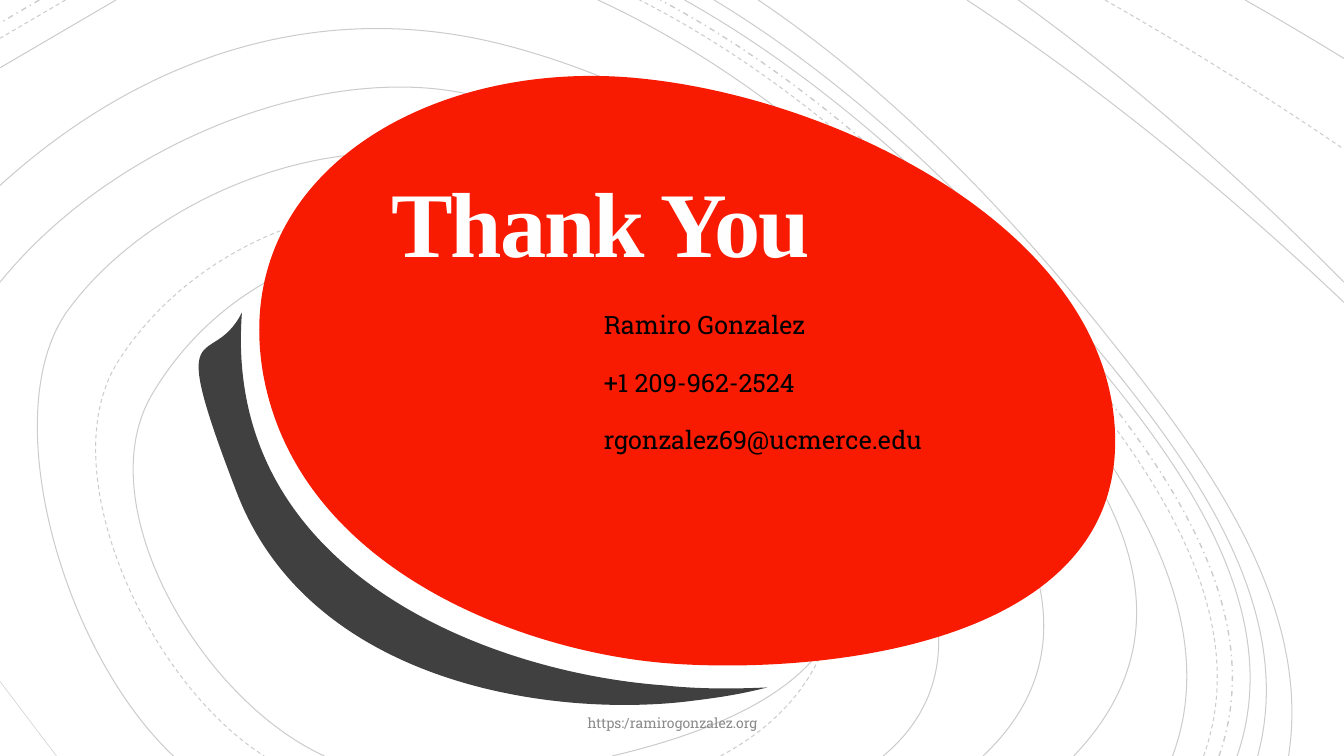
from lxml import etree
from pptx import Presentation
from pptx.dml.color import RGBColor
from pptx.enum.dml import MSO_LINE
from pptx.enum.text import MSO_ANCHOR, PP_ALIGN
from pptx.oxml.ns import qn
from pptx.util import Inches, Pt

SOLID, DASH, DASH_DOT = MSO_LINE.SOLID, MSO_LINE.DASH, MSO_LINE.DASH_DOT
TOP, MIDDLE, BOTTOM = MSO_ANCHOR.TOP, MSO_ANCHOR.MIDDLE, MSO_ANCHOR.BOTTOM
LEFT, CENTER = PP_ALIGN.LEFT, PP_ALIGN.CENTER

WIDTH, HEIGHT = 13.33, 7.5
COLORS = {
    "background": "FFFFFF",
    "contour": "000000",
    "crescent": "404040",
    "blob": "F81B02",
    "title": "FFFEFF",
    "contact": "000000",
    "footer": "8B8B8B",
}
CONTOUR_ALPHA = "20000"  # 20 % opaque
SERIF, SLAB = "Times New Roman", "Roboto Slab"

# An outline is a start point, then steps: 2 numbers a line, 6 a curve,
# 4 a curve whose first control mirrors the one before.
WIDE_RING = [(8.76, 7.5), (10.25, 6.25, 8.35, 4.09, 7.38, 3.15), (5.36, 1.64, 4.12, 1.53),
             (1.41, 2.08, 0.68, 3.07), (0.6, 6.44, 1.72, 7.5)]
INNER_RING = [(6.07, 7.5), (7.1, 7.26, 8.8, 6.67, 8.25, 5.29), (6.15, 2.78, 4.8, 2.48),
              (2.16, 2.81, 1.51, 3.91), (2, 6.95, 3.22, 7.5)]
OPEN_RINGS = [
    [(9.75, 7.5), (11.3, 6.04, 9.5, 4.13, 8.37, 3.06), (6.03, 1.2, 4.58, 0.92),
     (1.11, 1.43, 0, 2.8)],
    [(10.65, 7.5), (12.13, 5.95, 10.67, 4.22, 9.44, 3.07), (6.67, 0.87, 4.98, 0.44),
     (1.52, 0.46, 0, 1.84)],
]
# Arcs from the bottom edge to the top edge
FIRST_ARC = [(11.63, 7.5), (12.26, 5.81, 10.64, 4.01, 9.63, 2.87), (7.36, 0.66, 5.93, 0)]
MIDDLE_ARC = [(12.27, 7.5), (12.83, 5.88, 11.44, 4.25, 10.46, 3.12), (8.2, 0.79, 6.79, 0)]
LAST_ARC = [(12.78, 7.5), (13.03, 5.9, 11.82, 4.38, 10.89, 3.22), (8.81, 0.87, 7.52, 0)]
# Arc between two others: (from, to, share, width, dash)
ARCS = [
    (FIRST_ARC, MIDDLE_ARC, 0, 0.75, SOLID),
    (FIRST_ARC, MIDDLE_ARC, 0.48, 0.75, DASH),
    (FIRST_ARC, MIDDLE_ARC, 0.72, 1, DASH_DOT),
    (MIDDLE_ARC, LAST_ARC, 0, 0.75, SOLID),
    (MIDDLE_ARC, LAST_ARC, 0.4, 0.75, SOLID),
    (MIDDLE_ARC, LAST_ARC, 1, 0.75, SOLID),
]
# Top left corner: (x on the top edge, width, dash)
LEFT_CORNER = [(1.15, 0.75, SOLID), (0.65, 0.75, DASH), (0.39, 1, DASH_DOT)]
LEFT_SLOPE = 0.585
# Top right corner: (x on the top edge, y on the right edge, dash)
RIGHT_CORNER = [(9.59, 3, SOLID), (10.1, 2.8, SOLID), (10.96, 1.48, DASH), (12.35, 0.58, SOLID)]

CRESCENT = [(2.4, 3.1), (2.2, 5.7, 4.9, 6.68, 6.59, 6.8), (6.86, 6.83, 7.19, 6.84, 7.61, 6.82),
            (7.3, 6.9, 7.05, 6.93, 6.81, 6.96), (5.42, 7.12, 3.07, 6.76, 2.35, 4.89),
            (2.1, 3.7, 2.4, 3.1)]
BLOB = [(2.61, 3.71), (2.27, 1.75, 4.23, 0.6, 6.26, 0.77), (11.06, 2.31, 11.06, 4.38),
        (8.03, 6.69, 6.62, 6.58), (2.96, 5.66, 2.61, 3.71)]


def color(name):
    return RGBColor.from_string(COLORS[name])


def blend(first, last, share):
    """Return the outline that lies at a share of the way between two others."""
    return [tuple(a + (b - a) * share for a, b in zip(*steps)) for steps in zip(first, last)]


def corner_curve(x, y):
    """Return a slightly bowed curve from the top edge to the right edge."""
    run, bow = WIDTH - x, 0.02 * y * y
    return [(x, 0), (x + run / 3, y / 3 - bow, x + run * 2 / 3, y * 2 / 3 - bow, WIDTH, y)]


def full_steps(steps):
    """Write out the mirrored control of the four-number steps."""
    result = []
    for step in steps:
        if len(step) == 4:
            control_x, control_y, x, y = result[-1][-4:]
            step = (2 * x - control_x, 2 * y - control_y, *step)
        result.append(step)
    return result


def add_outline(slide, outline, close):
    """Draw a freeform through all points, then bend its six-number steps into curves."""
    start, steps = outline[0], full_steps(outline[1:])
    points = [(Inches(x), Inches(y))
              for step in steps for x, y in zip(step[::2], step[1::2])]
    builder = slide.shapes.build_freeform(Inches(start[0]), Inches(start[1]))
    builder.add_line_segments(points, close=close)
    shape = builder.convert_to_shape()
    shape.shadow.inherit = False

    segments = iter(list(shape._element.iter(qn("a:lnTo"))))
    for step in steps:
        segment = next(segments)
        if len(step) == 6:
            segment.tag = qn("a:cubicBezTo")
            for _ in range(2):
                extra = next(segments)
                segment.append(extra[0])
                extra.getparent().remove(extra)
    return shape


def add_contour(slide, outline, width=0.75, dash=SOLID):
    shape = add_outline(slide, outline, close=False)
    shape.fill.background()
    shape.line.width = Pt(width)
    shape.line.color.rgb = color("contour")
    shape.line.dash_style = dash
    line_color = shape._element.spPr.find(qn("a:ln")).find(".//" + qn("a:srgbClr"))
    etree.SubElement(line_color, qn("a:alpha"), val=CONTOUR_ALPHA)


def add_filled_outline(slide, outline, fill):
    shape = add_outline(slide, outline, close=True)
    shape.fill.solid()
    shape.fill.fore_color.rgb = color(fill)
    shape.line.fill.background()


def add_text(slide, box, lines, size, font, fill, align=LEFT, anchor=TOP,
             insets=(0.1, 0.05, 0.1, 0.05), gap=0):
    frame = slide.shapes.add_textbox(*map(Inches, box)).text_frame
    frame.word_wrap = True
    frame.vertical_anchor = anchor
    (frame.margin_left, frame.margin_top,
     frame.margin_right, frame.margin_bottom) = map(Inches, insets)
    for index, line in enumerate(lines):
        paragraph = frame.add_paragraph() if index else frame.paragraphs[0]
        paragraph.text = line
        paragraph.alignment = align
        if index:
            paragraph.space_before = Pt(gap)
        paragraph.font.size = Pt(size)
        paragraph.font.name = font
        paragraph.font.color.rgb = color(fill)
    return frame.paragraphs[0]


def add_contours(slide):
    for ring in (WIDE_RING, INNER_RING, *OPEN_RINGS):
        add_contour(slide, ring)
    add_contour(slide, blend(WIDE_RING, INNER_RING, 0.6), dash=DASH)
    for first, last, share, width, dash in ARCS:
        add_contour(slide, blend(first, last, share), width, dash)
    for x, width, dash in LEFT_CORNER:
        add_contour(slide, [(x, 0), (0, x * LEFT_SLOPE)], width, dash)
    for x, y, dash in RIGHT_CORNER:
        add_contour(slide, corner_curve(x, y), dash=dash)
    add_contour(slide, [(0, 6.76), (0.56, HEIGHT)], width=0.37)


def main():
    presentation = Presentation()
    presentation.slide_width, presentation.slide_height = Inches(WIDTH), Inches(HEIGHT)
    slide = presentation.slides.add_slide(presentation.slide_layouts[6])
    slide.background.fill.solid()
    slide.background.fill.fore_color.rgb = color("background")

    # Contours, then the red blob with its dark crescent
    add_contours(slide)
    add_filled_outline(slide, CRESCENT, "crescent")
    add_filled_outline(slide, BLOB, "blob")

    # Title
    title = add_text(slide, (2.26, 0.91, 7.61, 1.82), ["Thank You "], 66, SERIF, "title",
                     CENTER, BOTTOM, insets=(0.25, 0.25, 0.25, 0))
    title.line_spacing = 0.8
    title.font.bold = True
    title.runs[0].font._element.set("spc", "-150")

    # Footer and contact details
    add_text(slide, (0.88, 7, 11.58, 0.35), ["https:/ramirogonzalez.org"], 10, SLAB,
             "footer", CENTER, MIDDLE)
    add_text(slide, (5.89, 3.02, 4.41, 2.2),
             ["Ramiro Gonzalez", "+1 209-962-2524", "rgonzalez69@ucmerce.edu"],
             18, SLAB, "contact", gap=19.5)

    presentation.save("out.pptx")


if __name__ == "__main__":
    main()
